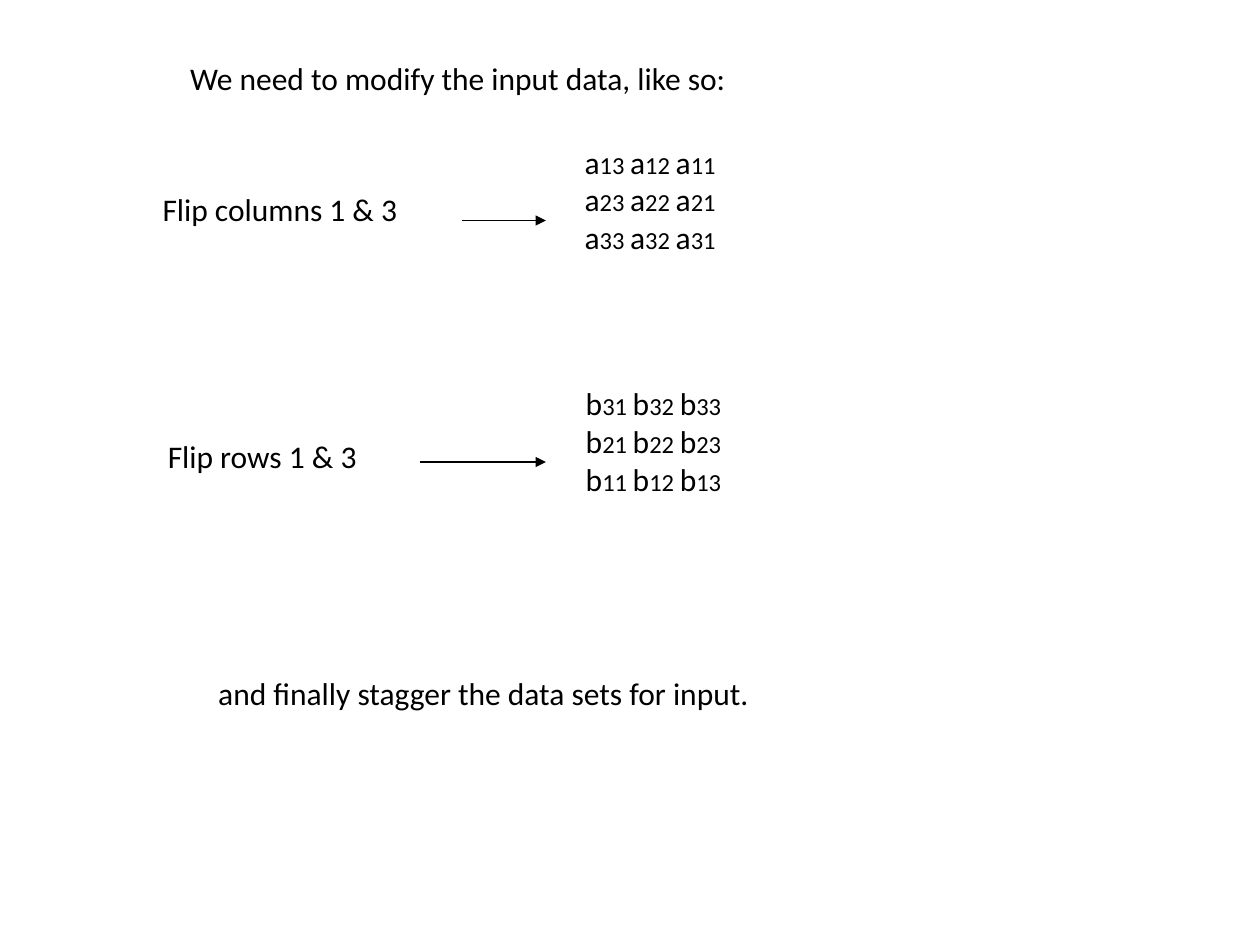
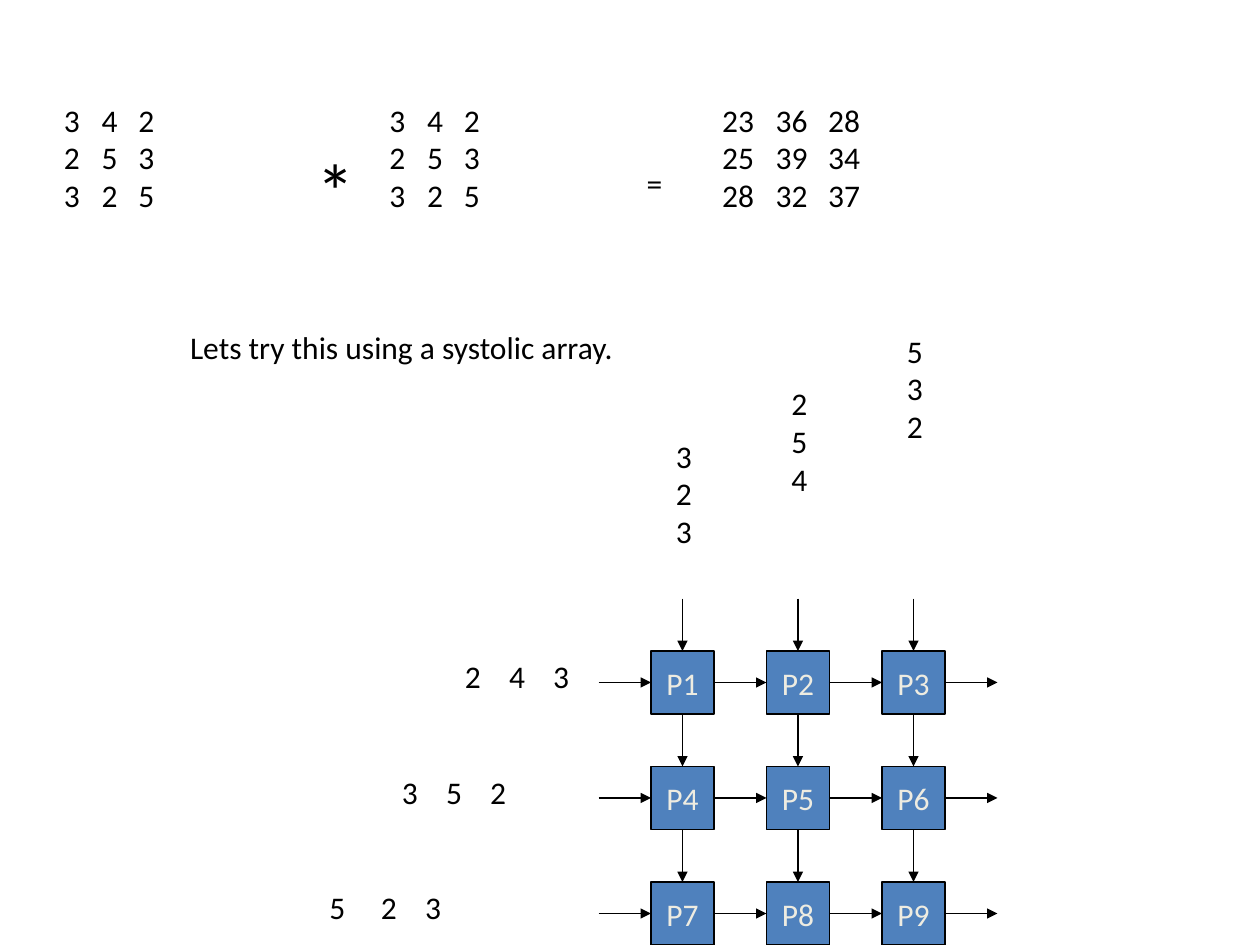
from pptx import Presentation
from pptx.dml.color import RGBColor as Rgb
from pptx.enum.shapes import MSO_CONNECTOR as Conn, MSO_SHAPE as Shape
from pptx.enum.text import MSO_ANCHOR as Anchor, MSO_AUTO_SIZE as Fit, PP_ALIGN as Align
from pptx.oxml.ns import qn
from pptx.util import Emu, Pt
from lxml.etree import SubElement as Sub

PX = 7620  # 120 px to the inch
HEX = {"ink": "000000", "node": "4F81BD", "pale": "EEECE1"}
FRAME = {"margin_left": Emu(12 * PX), "margin_right": 0,
         "margin_top": Emu(6 * PX), "margin_bottom": Emu(6 * PX),
         "vertical_anchor": Anchor.TOP, "word_wrap": True, "auto_size": Fit.NONE}
NODE = {"margin_left": 0, "vertical_anchor": Anchor.MIDDLE}
FONT = {"name": "Calibri", "bold": False}
BODY, SMALL, STAR = 18, 14, 44
LINE = 48


def px(*vals):
    return [Emu(v * PX) for v in vals]


def rgb(name):
    return Rgb.from_string(HEX[name])


def put(obj, vals):
    for key, val in vals.items():
        setattr(obj, key, val)


def flip(name, cells):
    """Lines of runs: a large name before each small index."""
    return [[part for i, cell in enumerate(row)
             for part in ((name, BODY), (cell + " " * (i < len(row) - 1), SMALL))]
            for row in (line.split() for line in cells)]


class Deck:
    def __init__(self):
        self.prs = Presentation()
        self.prs.slide_width, self.prs.slide_height = px(1200, 900)
        self.slide = None

    def page(self, title, y, w):
        self.slide = self.prs.slides.add_slide(self.prs.slide_layouts[5])
        head = self.slide.shapes.title
        put(head, dict(zip(("left", "top", "width", "height"), px(169, y, w, LINE))))
        self.fill(head.text_frame, [title])

    def fill(self, frame, lines, size=BODY, tabs=(), ink="ink", align=Align.LEFT, form=None):
        """Each line is a string or a list of (text, size) runs."""
        put(frame, FRAME | (form or {}))
        for i, line in enumerate(lines):
            para = frame.add_paragraph() if i else frame.paragraphs[0]
            para.alignment = align
            if tabs:
                stops = Sub(para._p.get_or_add_pPr(), qn("a:tabLst"))
                for pos in tabs:
                    Sub(stops, qn("a:tab"), pos=str(pos * PX), algn="l")
            for text, pts in [(line, size)] if isinstance(line, str) else line:
                run = para.add_run()
                run.text = text
                put(run.font, FONT | {"size": Pt(pts)})
                run.font.color.rgb = rgb(ink)

    def text(self, x, y, w, h, lines, **look):
        box = self.slide.shapes.add_textbox(*px(x, y, w, h))
        self.fill(box.text_frame, lines, **look)

    def grid(self, x, y, w, rows, tabs):
        """Rows of numbers, set in columns by tab stops."""
        lines = ["\t".join(row.split()) for row in rows]
        self.text(x, y, w, 120 if len(rows) > 1 else LINE, lines, tabs=tabs)

    def node(self, x, y, size, name):
        box = self.slide.shapes.add_shape(Shape.RECTANGLE, *px(x, y, size, size))
        box.shadow.inherit = False
        box.fill.solid()
        box.fill.fore_color.rgb = rgb("node")
        box.line.color.rgb = rgb("ink")
        box.line.width = Pt(0.75)
        self.fill(box.text_frame, [name], ink="pale", align=Align.CENTER, form=NODE)

    def arrow(self, x, y, dx=0, dy=0):
        link = self.slide.shapes.add_connector(Conn.STRAIGHT, *px(x, y, x + dx, y + dy))
        link.line.color.rgb = rgb("ink")
        link.line.width = Pt(0.75)
        Sub(link.line._ln, qn("a:tailEnd"), type="triangle")
        Sub(link._element.spPr, qn("a:effectLst"))


def prepare(deck):
    deck.page("We need to modify the input data, like so:", 50, 536)
    deck.text(545, 130, 149, 120, flip("a", ["13 12 11", "23 22 21", "33 32 31"]))
    deck.text(546, 360, 152, 120, flip("b", ["31 32 33", "21 22 23", "11 12 13"]))
    deck.text(143, 175, 254, LINE, ["Flip columns 1 & 3"])
    deck.arrow(440, 210, dx=80)
    deck.text(148, 410, 211, LINE, ["Flip rows 1 & 3"])
    deck.arrow(400, 440, dx=120)
    deck.text(196, 636, 532, LINE, ["and finally stagger the data sets for input."])


def array(deck):
    deck.page("Lets try this using a systolic array.", 306, 431)
    factor = ["3 4 2", "2 5 3", "3 2 5"]
    for x in (49, 359):
        deck.grid(x, 90, 262, factor, (36, 71))
    deck.text(290, 130, 60, 101, ["*"], size=STAR)
    deck.text(604, 150, 38, LINE, ["="])
    deck.grid(676, 90, 307, ["23 36 28", "25 39 34", "28 32 37"], (51, 101))

    start, side, gap, count = 620, 60, 50, 3
    step, mid = side + gap, start + side // 2
    for row in range(count):
        for col in range(count):
            deck.node(start + col * step, start + row * step, side, f"P{row * count + col + 1}")
            deck.arrow(mid + col * step, start - gap + row * step, dy=gap)
        for col in range(count + 1):
            deck.arrow(start - gap + col * step, mid + row * step, dx=gap)

    feeds = [(431, "2 4 3", (42, 84)), (371, "3 5 2", (42, 84)), (302, "5 2 3", (49, 91))]
    for i, (x, row, tabs) in enumerate(feeds):
        deck.grid(x, start + i * step, 131, [row], tabs)
    for i, col in enumerate(("323", "254", "532")):
        deck.text(start + 12 + i * step, 410 - i * gap, 38, 120, list(col))


def main():
    deck = Deck()
    prepare(deck)
    array(deck)
    deck.prs.save("out.pptx")


if __name__ == "__main__":
    main()
